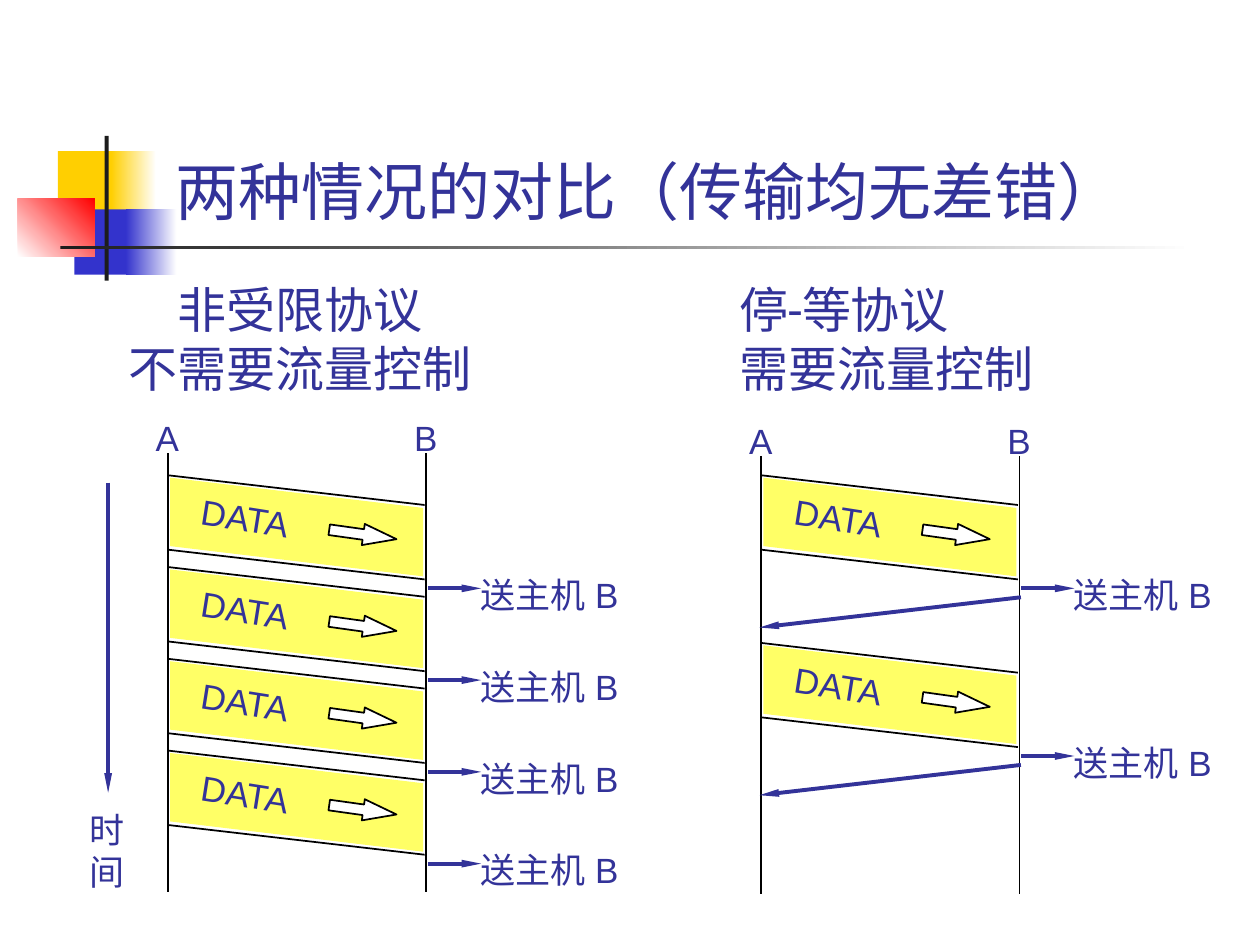
from dataclasses import dataclass

from lxml import etree
from pptx import Presentation
from pptx.dml.color import RGBColor
from pptx.enum import shapes, text
from pptx.oxml import ns
from pptx.util import Cm, Pt


@dataclass(frozen=True)
class Theme:
    """Colours, fonts and type sizes of the slide."""
    ink: str = "333399"
    black: str = "000000"
    white: str = "FFFFFF"
    band: str = "FFFF66"
    gold: str = "FFCF01"
    blue: str = "3333CC"
    red: str = "FF0000"
    dark: str = "1C1C1C"
    title_font: str = "Noto Sans CJK SC"
    head_font: str = "Roboto"
    label_font: str = "Arial"
    title_size: int = 36
    head_size: int = 28
    label_size: int = 20
    thin: float = 1
    thick: float = 2.25


T = Theme()
RECT = shapes.MSO_SHAPE.RECTANGLE
CENTER = text.PP_ALIGN.CENTER


def rgb(color):
    """Turn a hex string into a colour."""
    return RGBColor.from_string(color)


def add_text(s, x, y, w, h, words, font=T.label_font, size=T.label_size,
             align=text.PP_ALIGN.LEFT, rotation=0):
    """Add a text box that fits its unwrapped lines."""
    box = s.shapes.add_textbox(Cm(x), Cm(y), Cm(w), Cm(h))
    box.rotation = rotation
    tf = box.text_frame
    tf.text = words
    tf.word_wrap = False
    tf.auto_size = text.MSO_AUTO_SIZE.SHAPE_TO_FIT_TEXT
    for p in tf.paragraphs:
        p.alignment = align
        for r in p.runs:
            r.font.name = font
            r.font.size = Pt(size)
            r.font.color.rgb = rgb(T.ink)
            east = etree.SubElement(r.font._element, ns.qn("a:ea"))
            east.set("typeface", font)
    return box


def add_title(s, words):
    """Add the slide title, resting on the bottom of its box."""
    box = add_text(s, 3.05, 2.59, 20.04, 2.13, words, T.title_font, T.title_size, CENTER)
    tf = box.text_frame
    tf.word_wrap = True
    tf.auto_size = text.MSO_AUTO_SIZE.NONE
    tf.vertical_anchor = text.MSO_ANCHOR.BOTTOM


def add_block(s, x, y, w, h, start, end=None, angle=0):
    """Add a borderless rectangle with a plain or gradient fill."""
    sp = s.shapes.add_shape(RECT, Cm(x), Cm(y), Cm(w), Cm(h))
    sp.shadow.inherit = False
    sp.line.fill.background()
    if end is None:
        sp.fill.solid()
        sp.fill.fore_color.rgb = rgb(start)
        return
    sp.fill.gradient()
    sp.fill.gradient_angle = angle
    for stop, color, position in zip(sp.fill.gradient_stops, (start, end), (0, 1)):
        stop.color.rgb = rgb(color)
        stop.position = position


def add_line(s, x1, y1, x2, y2, arrow=False):
    """Add a thin black line or a thick arrow."""
    line = s.shapes.add_connector(
        shapes.MSO_CONNECTOR.STRAIGHT, Cm(x1), Cm(y1), Cm(x2), Cm(y2))
    line.line.color.rgb = rgb(T.ink if arrow else T.black)
    line.line.width = Pt(T.thick if arrow else T.thin)
    etree.SubElement(line._element.spPr, ns.qn("a:effectLst"))
    if arrow:
        head = etree.SubElement(line.line._get_or_add_ln(), ns.qn("a:tailEnd"))
        for key, value in (("type", "triangle"), ("w", "sm"), ("len", "lg")):
            head.set(key, value)


def add_band(s, x, y, w, drop, h):
    """Add a slanted yellow band."""
    builder = s.shapes.build_freeform(Cm(x), Cm(y))
    builder.add_line_segments([(Cm(x + w), Cm(y + drop)), (Cm(x + w), Cm(y + drop + h)),
                               (Cm(x), Cm(y + h))])
    sp = builder.convert_to_shape()
    sp.shadow.inherit = False
    sp.fill.solid()
    sp.fill.fore_color.rgb = rgb(T.band)
    sp.line.fill.background()


def add_direction(s, x, y):
    """Add the white block arrow inside a frame."""
    sp = s.shapes.add_shape(shapes.MSO_SHAPE.RIGHT_ARROW, Cm(x), Cm(y), Cm(1.37), Cm(0.43))
    sp.adjustments[0], sp.adjustments[1] = 0.5, 1.57
    sp.rotation = 8
    sp.shadow.inherit = False
    sp.fill.solid()
    sp.fill.fore_color.rgb = rgb(T.white)
    sp.line.color.rgb = rgb(T.black)
    sp.line.width = Pt(T.thin)


def add_frame(s, a, b, y, acknowledged):
    """Add one data frame, its delivery and its acknowledgement."""
    add_band(s, a + 0.05, y + 0.05, 5.1, 0.61, 1.38)
    for top in (y, y + 1.5):
        add_line(s, a, top, b - 0.03, top + 0.6)
    add_direction(s, a + 3.25, y + 0.98)
    add_text(s, a + 0.42, y + 0.32, 2.39, 1.09, "DATA", rotation=9)
    add_line(s, b + 0.04, y + 2.28, b + 1.11, y + 2.28, arrow=True)
    add_text(s, b + 0.84, y + 1.86, 3.61, 1.09, "送主机 B")
    if acknowledged:
        add_line(s, b + 0.03, y + 2.46, a - 0.03, y + 3.07, arrow=True)


def add_exchange(s, a, top, frames, acknowledged):
    """Add the two host time lines and the frames between them."""
    b = a + 5.21
    for x, host in ((a, "A"), (b, "B")):
        add_line(s, x, top, x, top + 8.84)
        add_text(s, x - 0.49, top - 0.86, 0.97, 1.09, host)
    for y in frames:
        add_frame(s, a, b, y, acknowledged)


def add_decoration(s):
    """Add the coloured blocks and rules beside the title."""
    add_block(s, 1.17, 3.05, 1.22, 1.32, T.gold)
    add_block(s, 2.24, 3.05, 0.91, 1.32, T.gold, T.white)
    add_block(s, 1.5, 4.22, 1.17, 1.32, T.blue)
    add_block(s, 2.54, 4.22, 1.02, 1.32, T.blue, T.white)
    add_block(s, 0.36, 4.01, 1.55, 1.17, T.white, T.red, 45)
    add_block(s, 2.11, 2.74, 0.08, 2.92, T.dark)
    add_block(s, 1.22, 4.95, 22.86, 0.08, T.dark, T.white)


def main():
    """Build the slide and save it."""
    prs = Presentation()
    prs.slide_width, prs.slide_height = Cm(25.4), Cm(19.05)
    s = prs.slides.add_slide(prs.slide_layouts[6])
    add_decoration(s)
    add_title(s, "两种情况的对比（传输均无差错）")
    add_exchange(s, 3.38, 9.14, [9.58 + 1.85 * i for i in range(4)], False)
    add_exchange(s, 15.34, 9.19, [9.58 + 3.38 * i for i in range(2)], True)
    add_line(s, 2.18, 9.73, 2.18, 15.98, arrow=True)
    add_text(s, 1.55, 16.18, 1.22, 1.93, "时\n间")
    add_text(s, 2.34, 5.51, 7.42, 2.64, "非受限协议\n不需要流量控制",
             T.head_font, T.head_size, CENTER)
    add_text(s, 14.66, 5.51, 6.43, 2.64, "停-等协议\n需要流量控制",
             T.head_font, T.head_size)
    prs.save("out.pptx")


if __name__ == "__main__":
    main()
